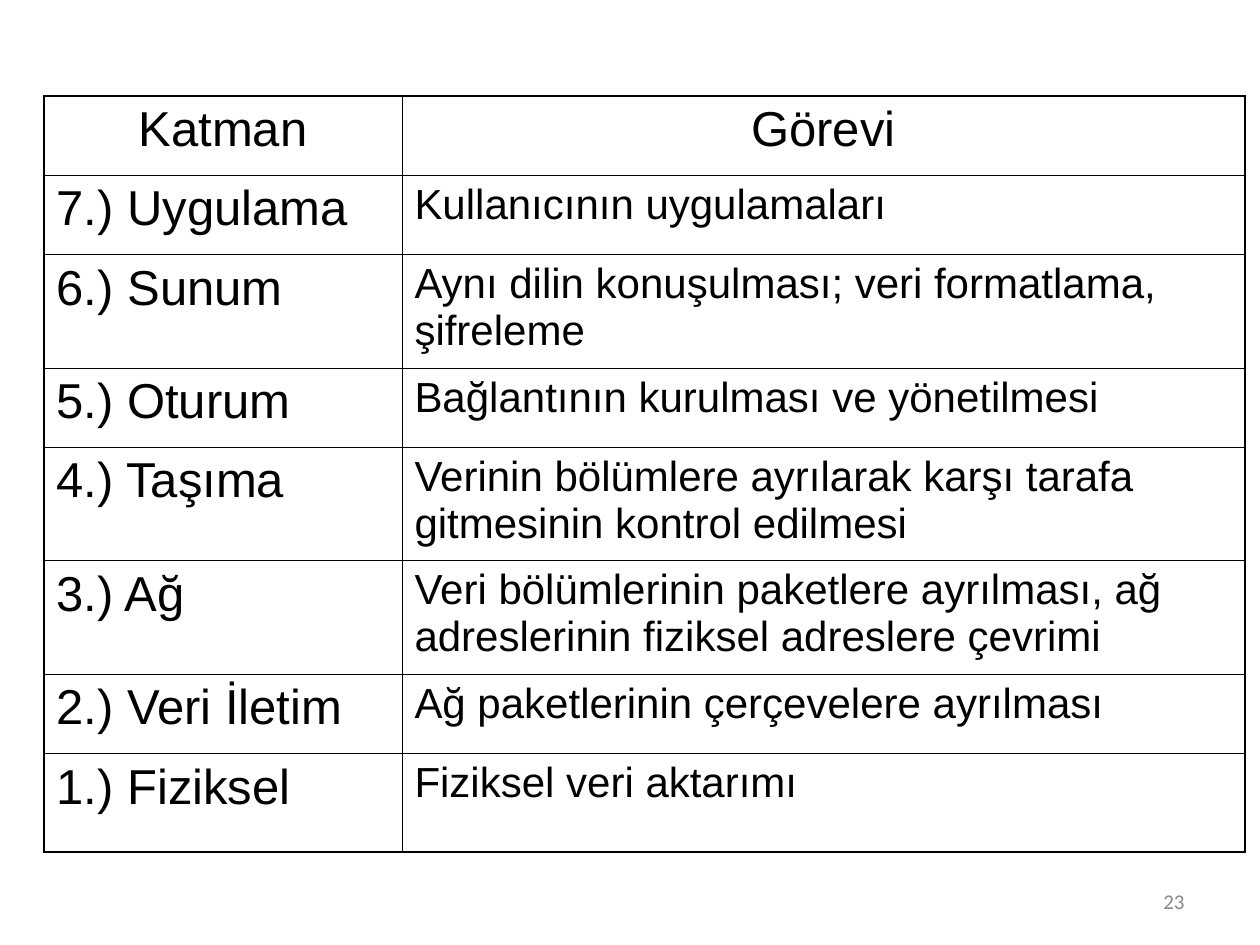
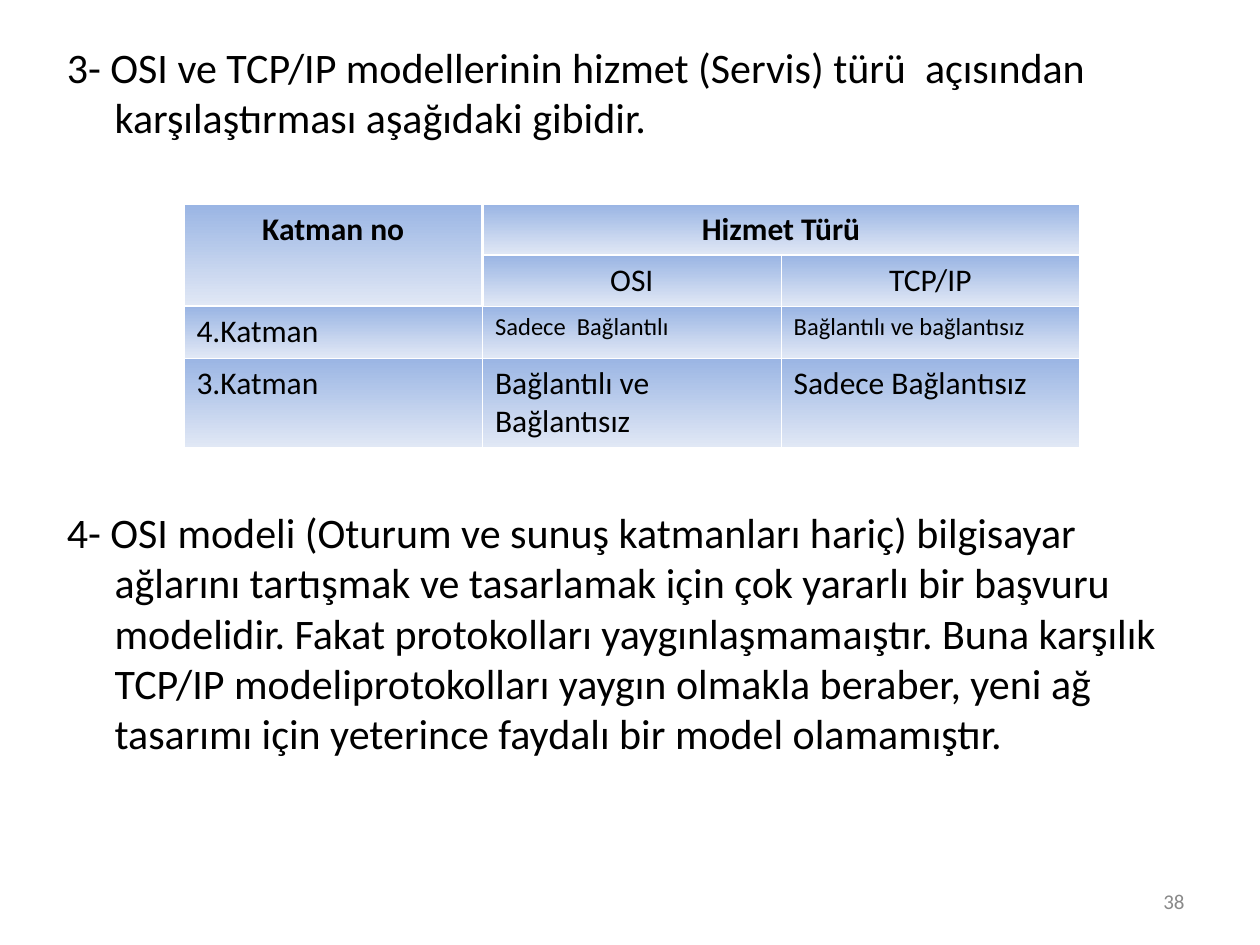
"""Build two slides: the OSI layer table and the OSI and TCP/IP service comparison."""
from lxml.etree import SubElement
from pptx import Presentation
from pptx.dml.color import RGBColor
from pptx.enum.text import MSO_ANCHOR, PP_ALIGN
from pptx.oxml.ns import qn
from pptx.util import Inches, Pt

BLACK, WHITE, GREY = "000000", "FFFFFF", "898989"
GRADIENT = ("9AB5E4", "E1E8F5")
THIN = 0.45


def write(paragraph, text, color=BLACK, align=PP_ALIGN.LEFT, **font_format):
    """Fill a paragraph with text in the given font format."""
    paragraph.text = text
    paragraph.alignment = align
    for name, value in font_format.items():
        setattr(paragraph.font, name, value)
    paragraph.font.color.rgb = RGBColor.from_string(color)


def add_grid(slide, left, top, columns, rows, line_color, heavy_width, heavy_lines):
    """Add an unstyled ruled table; heavy lines are (direction, row, column) keys."""
    frame = slide.shapes.add_table(
        len(rows), len(columns), Inches(left), Inches(top), Inches(sum(columns)), Inches(sum(rows)))
    table = frame.table
    table.first_row = table.horz_banding = False
    for column, width in zip(table.columns, columns):
        column.width = Inches(width)
    for row, height in zip(table.rows, rows):
        row.height = Inches(height)
    for r in range(len(rows)):
        for c in range(len(columns)):
            cell = table.cell(r, c)
            properties = cell._tc.get_or_add_tcPr()
            edges = {"lnL": ("V", r, c), "lnR": ("V", r, c + 1),
                     "lnT": ("H", r, c), "lnB": ("H", r + 1, c)}
            for tag, key in edges.items():
                width = heavy_width if key in heavy_lines else THIN
                line = SubElement(properties, qn(f"a:{tag}"), w=str(Pt(width)))
                SubElement(SubElement(line, qn("a:solidFill")), qn("a:srgbClr"), val=line_color)
            cell.fill.background()
    return table


presentation = Presentation()
presentation.slide_width, presentation.slide_height = Inches(10), Inches(7.5)
layouts = presentation.slide_layouts
layer_slide = presentation.slides.add_slide(layouts[6])
service_slide = presentation.slides.add_slide(layouts[1])

layers = [
    ("Katman", "Görevi"),
    ("7.) Uygulama", "Kullanıcının uygulamaları"),
    ("6.) Sunum", "Aynı dilin konuşulması; veri formatlama, şifreleme"),
    ("5.) Oturum", "Bağlantının kurulması ve yönetilmesi"),
    ("4.) Taşıma", "Verinin bölümlere ayrılarak karşı tarafa gitmesinin kontrol edilmesi"),
    ("3.) Ağ", "Veri bölümlerinin paketlere ayrılması, ağ adreslerinin fiziksel adreslere çevrimi"),
    ("2.) Veri İletim", "Ağ paketlerinin çerçevelere ayrılması"),
    ("1.) Fiziksel", "Fiziksel veri aktarımı"),
]
single, double = 0.63, 0.9
outline = {("V", r, c) for r in range(8) for c in (0, 2)}
outline |= {("H", r, c) for r in (0, 8) for c in range(2)}
layer_table = add_grid(
    layer_slide, 0.35, 0.76, (2.84, 6.69),
    (single, single, double, single, double, double, single, 0.78), BLACK, 1.08, outline)
for r, layer in enumerate(layers):
    for c, text in enumerate(layer):
        header = r == 0
        write(layer_table.cell(r, c).text_frame.paragraphs[0], text,
              align=PP_ALIGN.CENTER if header else PP_ALIGN.LEFT,
              name="Arial", size=Pt(28 if header or c == 0 else 24))

title = service_slide.shapes.title
title.element.getparent().remove(title.element)
body = service_slide.placeholders[1]
body_format = {"left": 0.43, "top": 0.28, "width": 9, "height": 6.3}
for name, value in body_format.items():
    setattr(body, name, Inches(value))
statements = [
    ("3- OSI ve TCP/IP modellerinin hizmet (Servis) türü  açısından karşılaştırması "
     "aşağıdaki gibidir.", 0),
    ("4- OSI modeli (Oturum ve sunuş katmanları hariç) bilgisayar ağlarını tartışmak ve "
     "tasarlamak için çok yararlı bir başvuru modelidir. Fakat protokolları yaygınlaşmamaıştır. "
     "Buna karşılık TCP/IP modeliprotokolları yaygın olmakla beraber, yeni ağ tasarımı için "
     "yeterince faydalı bir model olamamıştır.", 208),
]
body.text_frame.text = "\n".join(text for text, gap in statements)
for paragraph, (text, gap) in zip(body.text_frame.paragraphs, statements):
    properties = paragraph._p.get_or_add_pPr()
    properties.set("marL", str(Inches(0.38)))
    properties.set("indent", str(-Inches(0.38)))
    SubElement(properties, qn("a:buNone"))
    paragraph.space_before = Pt(gap)
    write(paragraph, text, name="Calibri", size=Pt(24))

services = [
    ("Katman no", "Hizmet Türü", ""),
    ("", "OSI", "TCP/IP"),
    ("4.Katman", "Sadece  Bağlantılı", "Bağlantılı ve bağlantısız"),
    ("3.Katman", "Bağlantılı ve Bağlantısız", "Sadece Bağlantısız"),
]
header_rules = {("V", 0, 1), ("V", 1, 1), ("H", 1, 1), ("H", 1, 2), ("H", 2, 0)}
service_table = add_grid(
    service_slide, 1.46, 1.62, (2.37,) * 3, (0.4, 0.4, 0.41, 0.7), WHITE, 1.47, header_rules)
service_table.cell(0, 0).merge(service_table.cell(1, 0))
service_table.cell(0, 1).merge(service_table.cell(0, 2))
for r, service in enumerate(services):
    for c, text in enumerate(service):
        cell = service_table.cell(r, c)
        cell.fill.gradient()
        cell.fill.gradient_angle = 270
        for stop, position, color in zip(cell.fill.gradient_stops, (0, 1), GRADIENT):
            stop.position = position
            stop.color.rgb = RGBColor.from_string(color)
        if text:
            write(cell.text_frame.paragraphs[0], text,
                  align=PP_ALIGN.CENTER if r < 2 else PP_ALIGN.LEFT, name="Calibri",
                  size=Pt(14 if r == 2 and c > 0 else 18), bold=r == 0)

for slide, number in ((layer_slide, "23"), (service_slide, "38")):
    number_box = slide.shapes.add_textbox(Inches(7.17), Inches(6.95), Inches(2.33), Inches(0.4))
    number_box.text_frame.word_wrap = True
    number_box.text_frame.vertical_anchor = MSO_ANCHOR.MIDDLE
    write(number_box.text_frame.paragraphs[0], number, GREY, PP_ALIGN.RIGHT,
          name="Calibri", size=Pt(12))

presentation.save("out.pptx")
